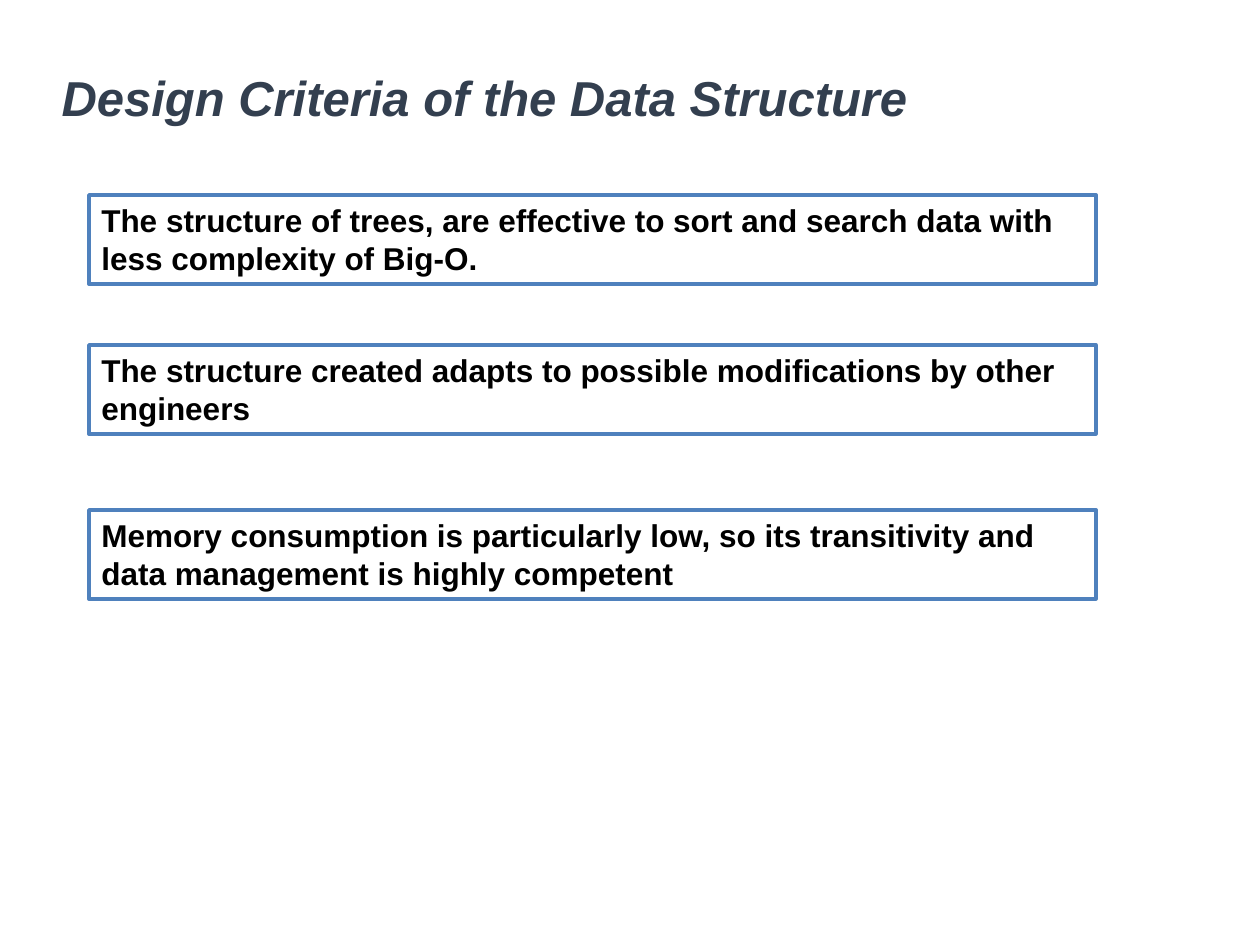
"""Build the slide on the design criteria of the data structure."""
import pptx
import pptx.dml.color
import pptx.enum.shapes
import pptx.enum.text
import pptx.util


def px(length):
    return pptx.util.Emu(length * 914400 // 126)


def color(value):
    return pptx.dml.color.RGBColor.from_string(value)


deck = pptx.Presentation()
deck.slide_width, deck.slide_height = px(1260), px(945)
page = deck.slides.add_slide(deck.slide_layouts[5])

title = page.shapes.title
title.left, title.top, title.width, title.height = px(49), px(59), px(1086), px(84)
title.text_frame.text = "Design Criteria of the Data Structure"
title.text_frame.word_wrap = True
title.text_frame.vertical_anchor = pptx.enum.text.MSO_ANCHOR.MIDDLE
para = title.text_frame.paragraphs[0]
para.alignment = pptx.enum.text.PP_ALIGN.LEFT
para.line_spacing = 0.9
para.font.name = "Arial"
para.font.size = pptx.util.Pt(28)
para.font.bold = True
para.font.italic = True
para.font.color.rgb = color("333F4F")

criteria = [
    (195, "The structure of trees, are effective to sort and search data with less complexity of Big-O."),
    (345, "The structure created adapts to possible modifications by other engineers"),
    (510, "Memory consumption is particularly low, so its transitivity and data management is highly competent"),
]
for top, criterion in criteria:
    box = page.shapes.add_shape(
        pptx.enum.shapes.MSO_SHAPE.RECTANGLE, px(89), px(top), px(1007), px(89))
    box.shadow.inherit = False
    box.fill.solid()
    box.fill.fore_color.rgb = color("FFFFFF")
    box.line.color.rgb = color("4F81BD")
    box.line.width = pptx.util.Pt(2)
    frame = box.text_frame
    frame.text = criterion
    frame.word_wrap = True
    frame.auto_size = pptx.enum.text.MSO_AUTO_SIZE.SHAPE_TO_FIT_TEXT
    frame.vertical_anchor = pptx.enum.text.MSO_ANCHOR.TOP
    para = frame.paragraphs[0]
    para.alignment = pptx.enum.text.PP_ALIGN.LEFT
    para.font.name = "Arial"
    para.font.size = pptx.util.Pt(18)
    para.font.bold = True
    para.font.color.rgb = color("000000")

deck.save("out.pptx")
